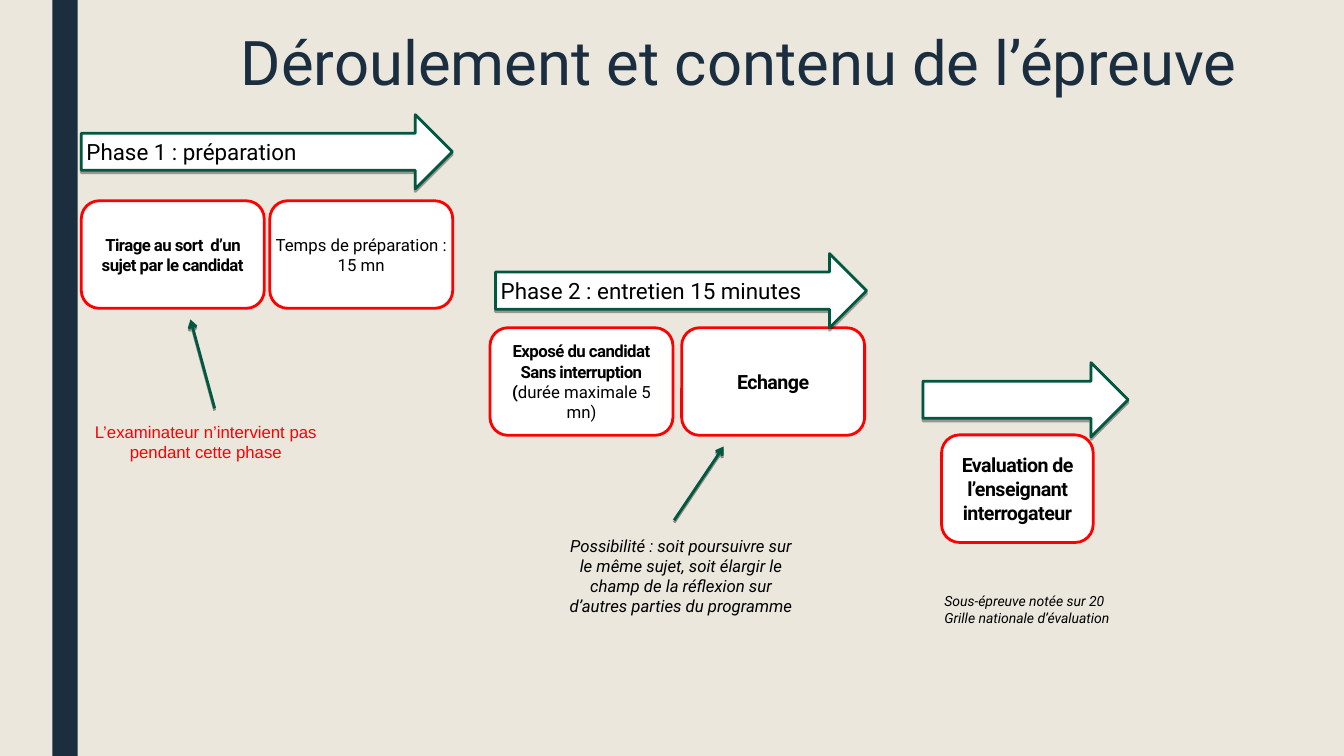
"""Build the slide that shows the phases of an oral examination."""
from dataclasses import dataclass

from lxml import etree
from pptx import Presentation
from pptx.dml.color import RGBColor
from pptx.enum.shapes import MSO_CONNECTOR, MSO_SHAPE
from pptx.enum.text import MSO_ANCHOR, MSO_AUTO_SIZE, PP_ALIGN
from pptx.oxml.ns import qn
from pptx.util import Cm, Pt

RECTANGLE = MSO_SHAPE.RECTANGLE
ROUNDED = MSO_SHAPE.ROUNDED_RECTANGLE
RIGHT_ARROW = MSO_SHAPE.RIGHT_ARROW
STRAIGHT = MSO_CONNECTOR.STRAIGHT
TOP, MIDDLE = MSO_ANCHOR.TOP, MSO_ANCHOR.MIDDLE
LEFT, CENTER = PP_ALIGN.LEFT, PP_ALIGN.CENTER
NO_AUTOFIT = MSO_AUTO_SIZE.NONE
TITLE_ONLY = 5


@dataclass(frozen=True)
class Theme:
    background: str = "EBE7DD"
    navy: str = "1A2E40"
    green: str = "005841"
    red: str = "FF0000"
    black: str = "000000"
    white: str = "FFFFFF"
    font: str = "Roboto"
    note_font: str = "Arial"
    title: int = 44
    phase: int = 16
    step: int = 14
    detail: int = 12
    small: int = 10
    outline: int = 2
    tight: int = -40


THEME = Theme()


@dataclass(frozen=True)
class Run:
    text: str
    size: int = THEME.detail
    bold: bool = False
    italic: bool = False
    color: str = THEME.black
    font: str = THEME.font


@dataclass(frozen=True)
class Block:
    left: float
    top: float
    width: float
    height: float
    paragraphs: tuple[tuple[Run, ...], ...] = ()
    align: PP_ALIGN = CENTER
    inset: float = 0.13


@dataclass(frozen=True)
class Pointer:
    start: tuple[float, float]
    end: tuple[float, float]


STEP_WIDTH, STEP_HEIGHT = 4.61, 2.71
PHASE_WIDTH, PHASE_HEIGHT = 9.35, 1.87

STEPS = (
    Block(2.05, 5.06, STEP_WIDTH, STEP_HEIGHT,
          ((Run("Tirage au sort  d’un sujet par le candidat", bold=True),),), inset=0),
    Block(6.8, 5.06, STEP_WIDTH, STEP_HEIGHT,
          ((Run("Temps de préparation : 15 mn"),),), inset=0),
    Block(12.35, 8.26, STEP_WIDTH, STEP_HEIGHT,
          ((Run("Exposé du candidat", bold=True),),
           (Run("Sans interruption", bold=True),),
           (Run("(", bold=True), Run("durée maximale 5 mn)"))), inset=0),
    Block(17.18, 8.26, STEP_WIDTH, STEP_HEIGHT,
          ((Run("Echange", THEME.step, bold=True),),), inset=0),
    Block(23.73, 10.96, 3.82, STEP_HEIGHT,
          ((Run("Evaluation de l’enseignant interrogateur", THEME.step, bold=True),),)),
)

PHASES = (
    Block(12.49, 6.39, PHASE_WIDTH, PHASE_HEIGHT,
          ((Run("Phase 2 : entretien 15 minutes", THEME.phase),),), LEFT),
    Block(2.05, 2.89, PHASE_WIDTH, PHASE_HEIGHT,
          ((Run("Phase 1 : préparation", THEME.phase),),), LEFT),
    Block(23.26, 9.14, 5.17, PHASE_HEIGHT),
)

NOTES = (
    Block(1.93, 10.49, 6.52, 1.28,
          ((Run("L’examinateur n’intervient pas pendant cette phase",
                color=THEME.red, font=THEME.note_font),),)),
    Block(23.67, 14.81, 4.76, 1.12,
          ((Run("Sous-épreuve notée sur 20", THEME.small, italic=True),),
           (Run("Grille nationale d’évaluation", THEME.small, italic=True),)), LEFT),
    Block(14.2, 13.39, 5.93, 2.76,
          ((Run("Possibilité : soit poursuivre sur le même sujet, soit élargir le champ "
                "de la réflexion sur d’autres parties du programme", italic=True),),),
          inset=0.1),
)

POINTERS = (
    Pointer((5.41, 10.29), (4.8, 8.05)),
    Pointer((16.99, 13.11), (18.24, 11.25)),
)


def rgb(color: str) -> RGBColor:
    return RGBColor.from_string(color)


def write_text(text_frame, block: Block, anchor: MSO_ANCHOR) -> None:
    text_frame.word_wrap = True
    text_frame.auto_size = NO_AUTOFIT
    text_frame.vertical_anchor = anchor
    text_frame.margin_left = text_frame.margin_right = Cm(block.inset)
    text_frame.margin_top = text_frame.margin_bottom = Cm(block.inset)
    for index, runs in enumerate(block.paragraphs):
        paragraph = text_frame.add_paragraph() if index else text_frame.paragraphs[0]
        paragraph.alignment = block.align
        for item in runs:
            run = paragraph.add_run()
            run.text = item.text
            run.font.name = item.font
            run.font.size = Pt(item.size)
            run.font.bold = item.bold
            run.font.italic = item.italic
            run.font.color.rgb = rgb(item.color)
            if item.bold:
                run.font._element.set("spc", str(THEME.tight))


def cast_shadow(properties, distance: float, opacity: int) -> None:
    effects = properties.find(qn("a:effectLst"))
    if effects is None:
        effects = etree.SubElement(properties, qn("a:effectLst"))
    shadow = etree.SubElement(effects, qn("a:outerShdw"), blurRad="0",
                              dist=str(Pt(distance)), dir="5400000", rotWithShape="0")
    color = etree.SubElement(shadow, qn("a:srgbClr"), val=THEME.black)
    etree.SubElement(color, qn("a:alpha"), val=str(opacity * 1000))


def add_block(slide, kind: MSO_SHAPE, block: Block, fill: str, line: str):
    shape = slide.shapes.add_shape(kind, Cm(block.left), Cm(block.top),
                                   Cm(block.width), Cm(block.height))
    shape.shadow.inherit = False
    shape.fill.solid()
    shape.fill.fore_color.rgb = rgb(fill)
    shape.line.color.rgb = rgb(line)
    shape.line.width = Pt(THEME.outline)
    write_text(shape.text_frame, block, MIDDLE)
    return shape


def add_note(slide, block: Block) -> None:
    box = slide.shapes.add_textbox(Cm(block.left), Cm(block.top),
                                   Cm(block.width), Cm(block.height))
    write_text(box.text_frame, block, TOP)


def add_pointer(slide, pointer: Pointer) -> None:
    connector = slide.shapes.add_connector(STRAIGHT, *map(Cm, pointer.start + pointer.end))
    connector.line.color.rgb = rgb(THEME.green)
    connector.line.width = Pt(THEME.outline)
    etree.SubElement(connector.line._get_or_add_ln(), qn("a:tailEnd"), type="arrow")
    cast_shadow(connector._element.spPr, 1.6, 38)


def add_title(slide) -> None:
    title = slide.shapes.title
    title.left, title.top, title.width, title.height = map(Cm, (5.82, 0.66, 26.72, 1.32))
    heading = Run("Déroulement et contenu de l’épreuve", THEME.title, color=THEME.navy)
    write_text(title.text_frame, Block(0, 0, 0, 0, ((heading,),), LEFT, 0.25), TOP)
    title.text_frame.margin_top = Cm(0.18)
    title.text_frame.paragraphs[0].line_spacing = 0.89


def main() -> None:
    presentation = Presentation()
    presentation.slide_width, presentation.slide_height = Cm(33.87), Cm(19.05)
    slide = presentation.slides.add_slide(presentation.slide_layouts[TITLE_ONLY])
    slide.background.fill.solid()
    slide.background.fill.fore_color.rgb = rgb(THEME.background)

    side_bar = add_block(slide, RECTANGLE, Block(1.32, 0, 0.64, 19.05), THEME.navy, THEME.navy)
    side_bar.line.fill.background()
    add_title(slide)
    for step in STEPS:
        add_block(slide, ROUNDED, step, THEME.white, THEME.red)
    for phase in PHASES:
        arrow = add_block(slide, RIGHT_ARROW, phase, THEME.white, THEME.green)
        cast_shadow(arrow._element.spPr, 1.8, 35)
    for note in NOTES:
        add_note(slide, note)
    for pointer in POINTERS:
        add_pointer(slide, pointer)
    presentation.save("out.pptx")


if __name__ == "__main__":
    main()
